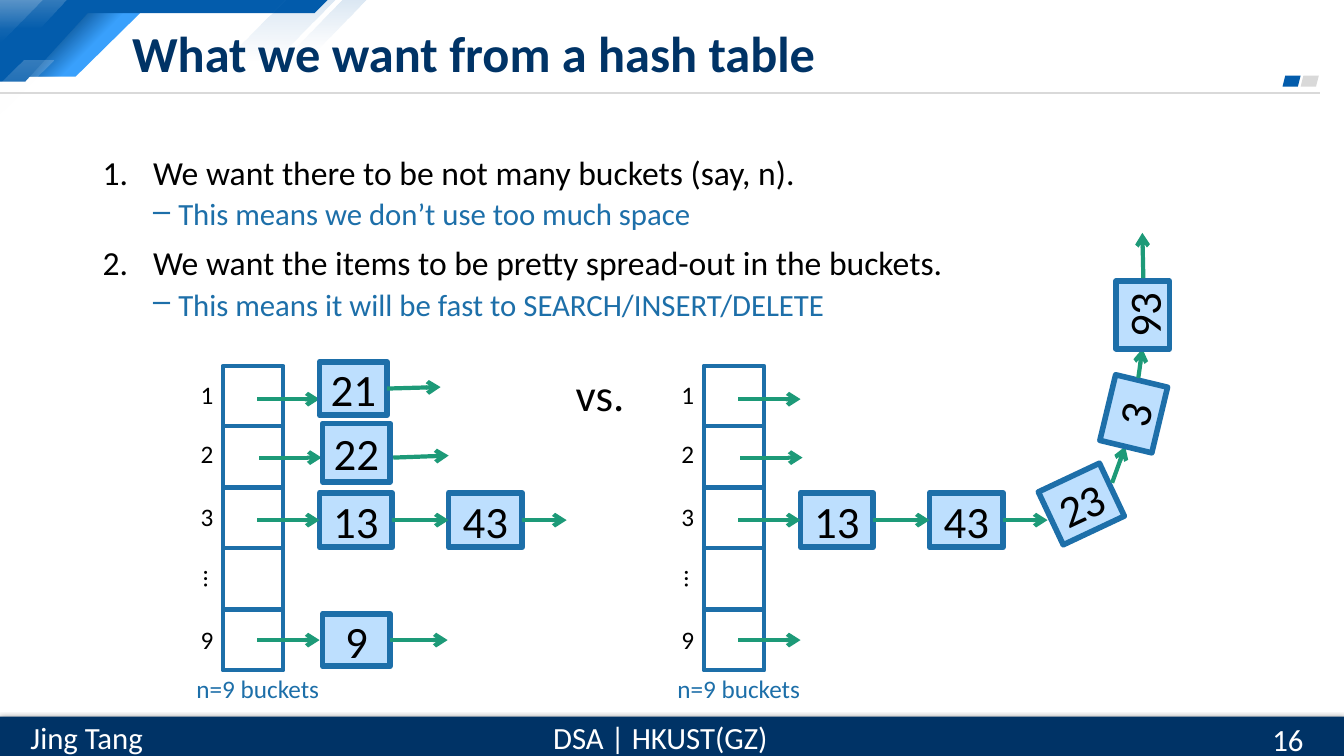
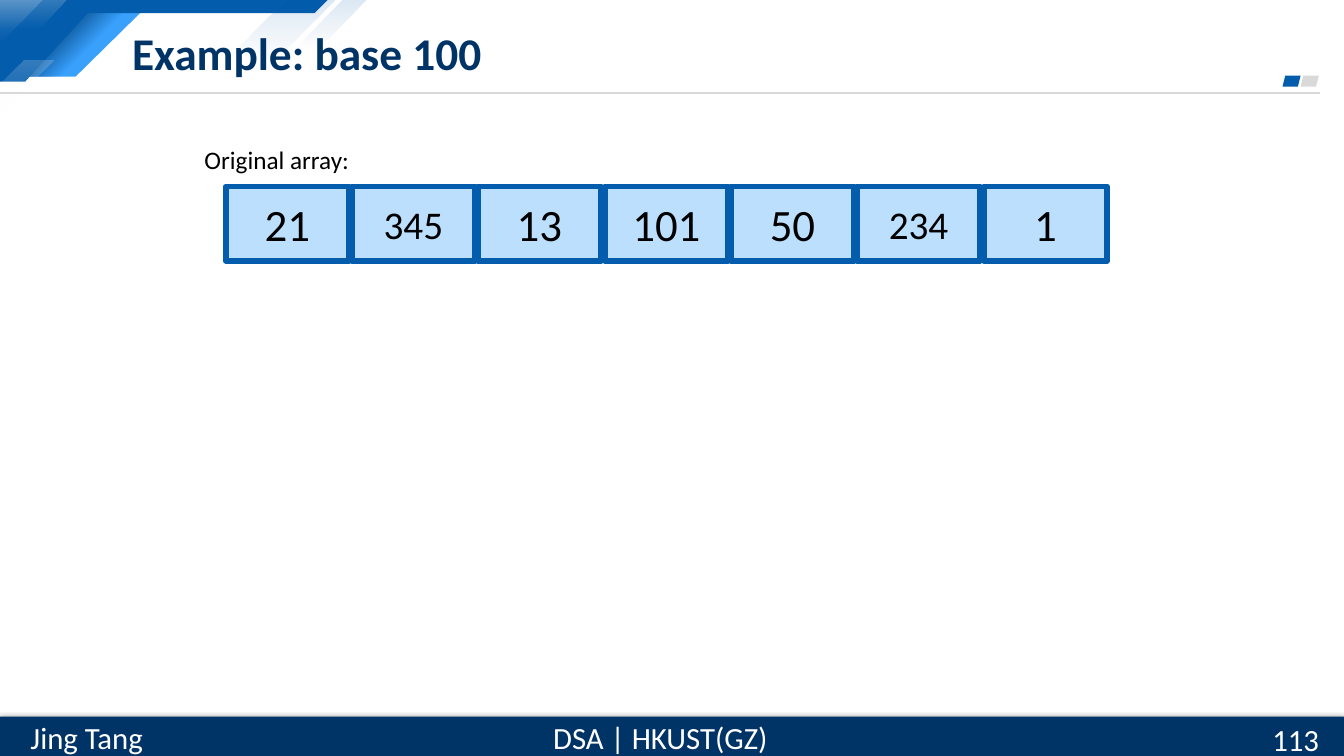
from dataclasses import dataclass

from lxml import etree
from pptx import Presentation
from pptx.dml.color import RGBColor
from pptx.enum.shapes import MSO_CONNECTOR, MSO_SHAPE
from pptx.enum.text import MSO_ANCHOR, MSO_AUTO_SIZE, PP_ALIGN
from pptx.oxml.ns import qn
from pptx.util import Emu, Pt

PX = 9144  # 100 px to the inch
RECT, SLANT = MSO_SHAPE.RECTANGLE, MSO_SHAPE.PARALLELOGRAM
STRAIGHT = MSO_CONNECTOR.STRAIGHT
LEFT, CENTER = PP_ALIGN.LEFT, PP_ALIGN.CENTER
TOP, MIDDLE = MSO_ANCHOR.TOP, MSO_ANCHOR.MIDDLE
FIXED = MSO_AUTO_SIZE.NONE
LEFT_SIDE, RIGHT_SIDE = 1, 3


@dataclass(frozen=True)
class Theme:
    font: str = "Calibri"
    black: str = "000000"
    white: str = "FFFFFF"
    navy: str = "003366"
    deep: str = "024581"
    blue: str = "035CAC"
    sky: str = "39A0FC"
    steel: str = "1D6FA9"
    pale: str = "BDDFFE"
    green: str = "1D9A78"
    gray: str = "D9D9D9"
    title: float = 36
    value: float = 32
    small: float = 28
    body: float = 24
    sub: float = 22
    label: float = 18


THEME = Theme()


def px(*nums):
    return [Emu(round(n * PX)) for n in nums]


def rgb(code):
    return RGBColor.from_string(code)


def child(parent, tag, **attrs):
    return etree.SubElement(parent, qn(tag), attrs)


def style(para, size, color, bold=False):
    for run in para.runs:
        run.font.name = THEME.font
        run.font.size = Pt(size)
        run.font.bold = bold
        run.font.color.rgb = rgb(color)


def text(slide, at, words, size, color=THEME.black, align=LEFT, anchor=TOP):
    box = slide.shapes.add_textbox(*px(*at))
    frame = box.text_frame
    frame.word_wrap = True
    frame.vertical_anchor = anchor
    para = frame.paragraphs[0]
    para.text = words
    para.alignment = align
    style(para, size, color)
    return box


def paint(shape, fill=None, line=None, width=0):
    shape.shadow.inherit = False
    if fill:
        shape.fill.solid()
        shape.fill.fore_color.rgb = rgb(fill)
    else:
        shape.fill.background()
    if line:
        shape.line.color.rgb = rgb(line)
        shape.line.width = Pt(width)
    else:
        shape.line.fill.background()


def block(slide, kind, at, fill=None, line=None, width=0):
    shape = slide.shapes.add_shape(kind, *px(*at))
    paint(shape, fill, line, width)
    return shape


def item(slide, at, words, size=THEME.value, line=THEME.steel, turn=0):
    """Pale box holding one value."""
    box = block(slide, RECT, at, THEME.pale, line, 4)
    box.rotation = turn
    frame = box.text_frame
    frame.margin_left = frame.margin_right = 0
    frame.vertical_anchor = MIDDLE
    para = frame.paragraphs[0]
    para.text = words
    para.alignment = CENTER
    style(para, size, THEME.black)
    return box


def outline(slide, points, fill):
    pen = slide.shapes.build_freeform(*points[0], scale=PX)
    pen.add_line_segments(points[1:], close=True)
    shape = pen.convert_to_shape()
    paint(shape, fill)
    return shape


def fade(slide, points, color, alpha, angle=270, span=(0, 1)):
    """Outline whose colour goes from alpha percent to clear."""
    shape = outline(slide, points, color)
    shape.fill.gradient()
    shape.fill.gradient_angle = angle
    for stop, place in zip(shape.fill.gradient_stops, span):
        stop.position = place
        stop.color.rgb = rgb(color)
    tints = shape.element.iter(qn("a:srgbClr"))
    for tint, level in zip(list(tints), (alpha, 0)):
        child(tint, "a:alpha", val=str(level * 1000))


def rule(slide, ends, color, width):
    line = slide.shapes.add_connector(STRAIGHT, *px(*ends))
    line.line.color.rgb = rgb(color)
    line.line.width = Pt(width)
    child(line.element.spPr, "a:effectLst")
    return line


def arrow(slide, ends, start=None, end=None):
    """Green arrow, joined to the right of start and the left of end."""
    line = rule(slide, ends, THEME.green, 3)
    child(line.line._get_or_add_ln(), "a:tailEnd", type="arrow")
    if start:
        line.begin_connect(start, RIGHT_SIDE)
    if end:
        line.end_connect(end, LEFT_SIDE)


def corner(slide):
    wedge = [(84, 7), (145, 7), (75, 76), (16, 76)]
    outline(slide, wedge, THEME.sky)
    fade(slide, wedge, THEME.deep, 100, 315, (0.29, 0.57))
    outline(slide, [(0, 0), (325, 0), (312, 13), (87, 13), (25, 81), (0, 81)],
            THEME.blue)
    for points, color, alpha in (
        ([(0, 0), (42, 0), (0, 42)], THEME.white, 20),
        ([(0, 0), (66, 0), (39, 28), (0, 28)], THEME.white, 20),
        ([(284, 0), (333, 0), (272, 61), (222, 61)], THEME.blue, 15),
        ([(340, 0), (364, 0), (315, 49), (291, 49)], THEME.blue, 15),
        ([(23, 60), (53, 60), (-7, 120), (-37, 120)], THEME.white, 20),
    ):
        fade(slide, points, color, alpha)


def footer(slide, number):
    bar = block(slide, RECT, (0, 711, 1333, 39), THEME.navy)
    effects = bar.element.spPr.find(qn("a:effectLst"))
    shade = child(effects, "a:outerShdw", blurRad=str(Pt(4.5)),
                  dist=str(Pt(1.5)), dir="5400000", rotWithShape="0")
    tint = child(shade, "a:srgbClr", val=THEME.black)
    child(tint, "a:alpha", val="63000")
    for at, words, align in (
        ((536, 708, 238, 47), "DSA | HKUST(GZ)", CENTER),
        ((16, 708, 140, 47), "Jing Tang", CENTER),
        ((1252, 713, 81, 40), number, LEFT),
    ):
        text(slide, at, words, THEME.sub, THEME.white, align, MIDDLE)


def page(deck, words, number, size=THEME.title):
    """Slide with the shared corner, rule, footer and title."""
    slide = deck.slides.add_slide(deck.slide_layouts[5])
    corner(slide)
    rule(slide, (0, 92, 1309, 92), THEME.gray, 1.5)
    block(slide, SLANT, (1290, 75, 18, 11), THEME.gray)
    block(slide, SLANT, (1272, 75, 18, 11), THEME.blue)
    footer(slide, number)
    title = slide.shapes.title
    title.left, title.top, title.width, title.height = px(121, 17, 1021, 69)
    frame = title.text_frame
    frame.text = words
    frame.auto_size = FIXED
    frame.vertical_anchor = MIDDLE
    frame.paragraphs[0].alignment = LEFT
    style(frame.paragraphs[0], size, THEME.navy, True)
    slide.shapes.element.append(title.element)  # in front of the corner
    return slide


def goals(slide, at, pairs):
    """Numbered goals, each with a dashed reason below."""
    frame = slide.shapes.add_textbox(*px(*at)).text_frame
    frame.word_wrap = True
    rows = [(words, level) for pair in pairs for level, words in enumerate(pair)]
    for i, (words, level) in enumerate(rows):
        para = frame.add_paragraph() if i else frame.paragraphs[0]
        para.text = words
        para.level = level
        para.line_spacing = 0.9
        if i:
            para.space_before = Pt(5 if level else 10)
        props = para._p.get_or_add_pPr()
        left, hang = px(*((75, -25) if level else (50, -50)))
        props.set("marL", str(left))
        props.set("indent", str(hang))
        if level:
            child(props, "a:buChar", char="–")
            style(para, THEME.sub, THEME.steel)
        else:
            child(props, "a:buAutoNum", type="arabicPeriod")
            style(para, THEME.body, THEME.black)


def table(slide, x):
    """Column of buckets at x, with the chain that both sides share."""
    for i in range(5):
        block(slide, RECT, (x, 363 + 121 * i // 2, 60, 60),
              line=THEME.steel, width=3)
    text(slide, (x - 36, 663, 165, 40), "n=9 buckets", THEME.label, THEME.steel)
    for words, y in (("1", 371), ("2", 430), ("3", 492), ("9", 614)):
        text(slide, (x - 32, y, 51, 40), words, THEME.label)
    dots = text(slide, (x - 40, 568, 63, 40), "…", THEME.label)
    dots.rotation = 90
    for start, y in ((34, 396), (36, 454), (34, 635)):
        arrow(slide, (x + start, y, x + start + 62, y))
    first = item(slide, (x + 96, 489, 72, 54), "13")
    second = item(slide, (x + 224, 489, 73, 54), "43")
    arrow(slide, (x + 34, 516, x + 96, 516), end=first)
    arrow(slide, (x + 168, 516, x + 224, 516), first, second)
    arrow(slide, (x + 297, 516, x + 341, 516), second)


def wants(deck):
    slide = page(deck, "What we want from a hash table", "16")
    goals(slide, (92, 150, 1150, 200), (
        ("We want there to be not many buckets (say, n).",
         "This means we don’t use too much space"),
        ("We want the items to be pretty spread-out in the buckets.",
         "This means it will be fast to SEARCH/INSERT/DELETE"),
    ))
    for x in (221, 698):
        table(slide, x)
    top = item(slide, (317, 359, 67, 53), "21")
    item(slide, (320, 420, 67, 58), "22")
    last = item(slide, (320, 609, 67, 52), "9")
    arrow(slide, (384, 385, 437, 384), top)
    arrow(slide, (390, 454, 445, 452))
    arrow(slide, (387, 635, 444, 635), last)
    for at, words, turn, ends in (
        ((1039, 471, 67, 58), "23", 334.8, (1103, 479, 1116, 443)),
        ((1091, 384, 67, 53), "3", 283.5, (1129, 375, 1133, 346)),
        ((1100, 286, 67, 53), "93", 270, (1134, 276, 1133, 231)),
    ):
        item(slide, at, words, turn=turn)
        arrow(slide, ends)
    text(slide, (561, 359, 107, 64), "vs.", THEME.value)


def base(deck):
    slide = page(deck, "Example: base 100", "113", THEME.title * 0.9)
    text(slide, (193, 138, 324, 40), "Original array:", THEME.label)
    big, small = THEME.value, THEME.small
    cells = (("21", big), ("345", small), ("13", big), ("101", big),
             ("50", big), ("234", small), ("1", big))
    for i, (words, size) in enumerate(cells):
        item(slide, (224 + 376 * i // 3, 185, 122, 74), words, size, THEME.blue)


def main():
    deck = Presentation()
    deck.slide_width, deck.slide_height = px(1333, 750)
    wants(deck)
    base(deck)
    deck.save("out.pptx")


if __name__ == "__main__":
    main()
